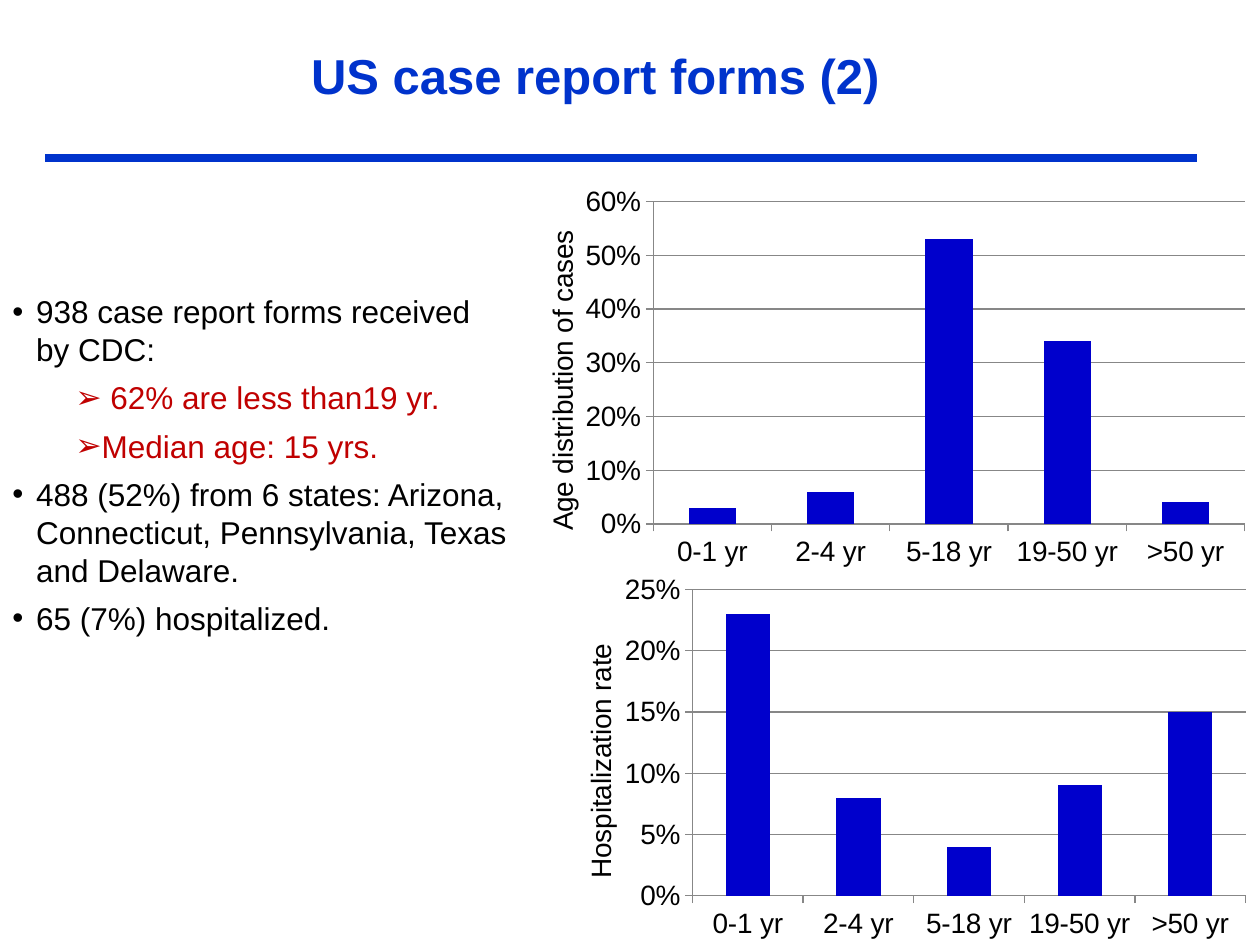
from dataclasses import dataclass

from lxml.etree import SubElement
from pptx import Presentation
from pptx.chart.data import CategoryChartData
from pptx.dml.color import RGBColor
from pptx.enum.chart import XL_CHART_TYPE as ChartType, XL_TICK_MARK as TickMark
from pptx.enum.shapes import MSO_CONNECTOR as Connector
from pptx.enum.text import PP_ALIGN as Align
from pptx.oxml import parse_xml
from pptx.oxml.ns import nsdecls, qn
from pptx.util import Cm, Pt

FONT = "Arial"
BLUE, BAR_BLUE, RED, BLACK, GREY = "0033CC", "0000CC", "C00000", "000000", "878787"
AGE_GROUPS = ("0-1 yr", "2-4 yr", "5-18 yr", "19-50 yr", ">50 yr")


@dataclass(frozen=True)
class Bullet:
    text: str
    symbol: str = "•"
    color: str = BLACK
    indent: float = 0.48


@dataclass(frozen=True)
class ColumnChart:
    title: str
    box: tuple[float, float, float, float]
    values: tuple[float, ...]
    maximum: float
    step: float
    plot: tuple[float, float, float, float]
    title_position: tuple[float, float]


BULLETS = (
    Bullet("938 case report forms received by CDC:"),
    Bullet(" 62% are less than19 yr.", "➢", RED, 1.75),
    Bullet("Median age: 15 yrs.", "➢", RED, 1.75),
    Bullet("488 (52%) from 6 states: Arizona, Connecticut, Pennsylvania, Texas and Delaware."),
    Bullet("65 (7%) hospitalized."),
)
CHARTS = (
    ColumnChart("Hospitalization rate", (10.92, 11.43, 14.48, 7.62),
                (0.23, 0.08, 0.04, 0.09, 0.15), 0.25, 0.05,
                (0.21, 0.06, 0.77, 0.81), (0.05, 0.19)),
    ColumnChart("Age distribution of cases", (10.11, 3.58, 15.29, 8.03),
                (0.03, 0.06, 0.53, 0.34, 0.04), 0.6, 0.1,
                (0.2, 0.06, 0.78, 0.81), (0.05, 0.12)),
)


def color(value: str) -> RGBColor:
    return RGBColor.from_string(value)


def style_font(font, size: float, fill: str, bold: bool = False) -> None:
    font.name, font.size, font.bold = FONT, Pt(size), bold
    font.color.rgb = color(fill)


def write_text(paragraph, text: str, *, size: float, fill: str = BLACK,
               bold: bool = False, align=Align.LEFT, after: float = 0) -> None:
    run = paragraph.add_run()
    run.text = text
    style_font(run.font, size, fill, bold)
    paragraph.alignment = align
    paragraph.space_after = Pt(after)


def add_text_frame(slide, box: tuple[float, ...]):
    frame = slide.shapes.add_textbox(*map(Cm, box)).text_frame
    frame.word_wrap = True
    return frame


def set_bullet(paragraph, bullet: Bullet) -> None:
    properties = paragraph._p.get_or_add_pPr()
    properties.set("marL", str(Cm(bullet.indent)))
    properties.set("indent", str(-Cm(0.48)))
    SubElement(properties, qn("a:buFont"), typeface=FONT)
    SubElement(properties, qn("a:buChar"), char=bullet.symbol)


def add_bullets(slide, box: tuple[float, ...], bullets: tuple[Bullet, ...]) -> None:
    frame = add_text_frame(slide, box)
    for index, bullet in enumerate(bullets):
        paragraph = frame.add_paragraph() if index else frame.paragraphs[0]
        write_text(paragraph, bullet.text, size=18, fill=bullet.color, after=6)
        set_bullet(paragraph, bullet)


def add_rule(slide, left: float, right: float, top: float) -> None:
    rule = slide.shapes.add_connector(Connector.STRAIGHT, Cm(left), Cm(top), Cm(right), Cm(top))
    rule.line.color.rgb = color(BLUE)
    rule.line.width = Pt(4.5)
    SubElement(rule._element.spPr, qn("a:effectLst"))


def set_layout(element, position: int, values: tuple[float, ...], inner: bool = False) -> None:
    for layout in element.findall(qn("c:layout")):
        element.remove(layout)
    target = '<c:layoutTarget val="inner"/>' if inner else ""
    modes = '<c:xMode val="edge"/><c:yMode val="edge"/>'
    sizes = "".join(f'<c:{name} val="{value}"/>' for name, value in zip("xywh", values))
    element.insert(position, parse_xml(
        f'<c:layout {nsdecls("c")}><c:manualLayout>{target}{modes}{sizes}'
        "</c:manualLayout></c:layout>"))


def style_axis(axis) -> None:
    style_font(axis.tick_labels.font, 16, BLACK)
    axis.major_tick_mark = TickMark.OUTSIDE
    axis.minor_tick_mark = TickMark.NONE
    axis.format.line.color.rgb = color(GREY)


def add_column_chart(slide, column_chart: ColumnChart) -> None:
    data = CategoryChartData(number_format="0%")
    data.categories = AGE_GROUPS
    data.add_series("Series 1", column_chart.values)
    chart = slide.shapes.add_chart(
        ChartType.COLUMN_CLUSTERED, *map(Cm, column_chart.box), data).chart
    chart.has_legend = chart.has_title = False
    style_font(chart.font, 10, BLACK)

    plot = chart.plots[0]
    plot.gap_width = 150
    plot.vary_by_categories = False
    fill = plot.series[0].format.fill
    fill.solid()
    fill.fore_color.rgb = color(BAR_BLUE)

    value_axis = chart.value_axis
    for axis in (chart.category_axis, value_axis):
        style_axis(axis)
    value_axis.minimum_scale, value_axis.maximum_scale = 0, column_chart.maximum
    value_axis.major_unit = column_chart.step
    value_axis.tick_labels.number_format = "0%"
    value_axis.tick_labels.number_format_is_linked = False
    value_axis.major_gridlines.format.line.color.rgb = color(GREY)

    title = value_axis.axis_title
    write_text(title.text_frame.paragraphs[0], column_chart.title, size=16)
    body = title._element.find(".//" + qn("a:bodyPr"))
    body.set("rot", "-5400000")
    body.set("vert", "horz")
    set_layout(title._element, 1, column_chart.title_position)
    set_layout(chart._chartSpace.chart.plotArea, 0, column_chart.plot, inner=True)


def main() -> None:
    presentation = Presentation()
    presentation.slide_width, presentation.slide_height = Cm(25.4), Cm(19.05)
    slide = presentation.slides.add_slide(presentation.slide_layouts[6])
    add_rule(slide, 0.91, 24.13, 3.18)
    title = add_text_frame(slide, (1.98, 0.79, 20.04, 1.45))
    write_text(title.paragraphs[0], "US case report forms (2)",
               size=28, fill=BLUE, bold=True, align=Align.CENTER)
    add_bullets(slide, (0, 5.77, 10.52, 9.25), BULLETS)
    for column_chart in CHARTS:
        add_column_chart(slide, column_chart)
    presentation.save("out.pptx")


if __name__ == "__main__":
    main()
